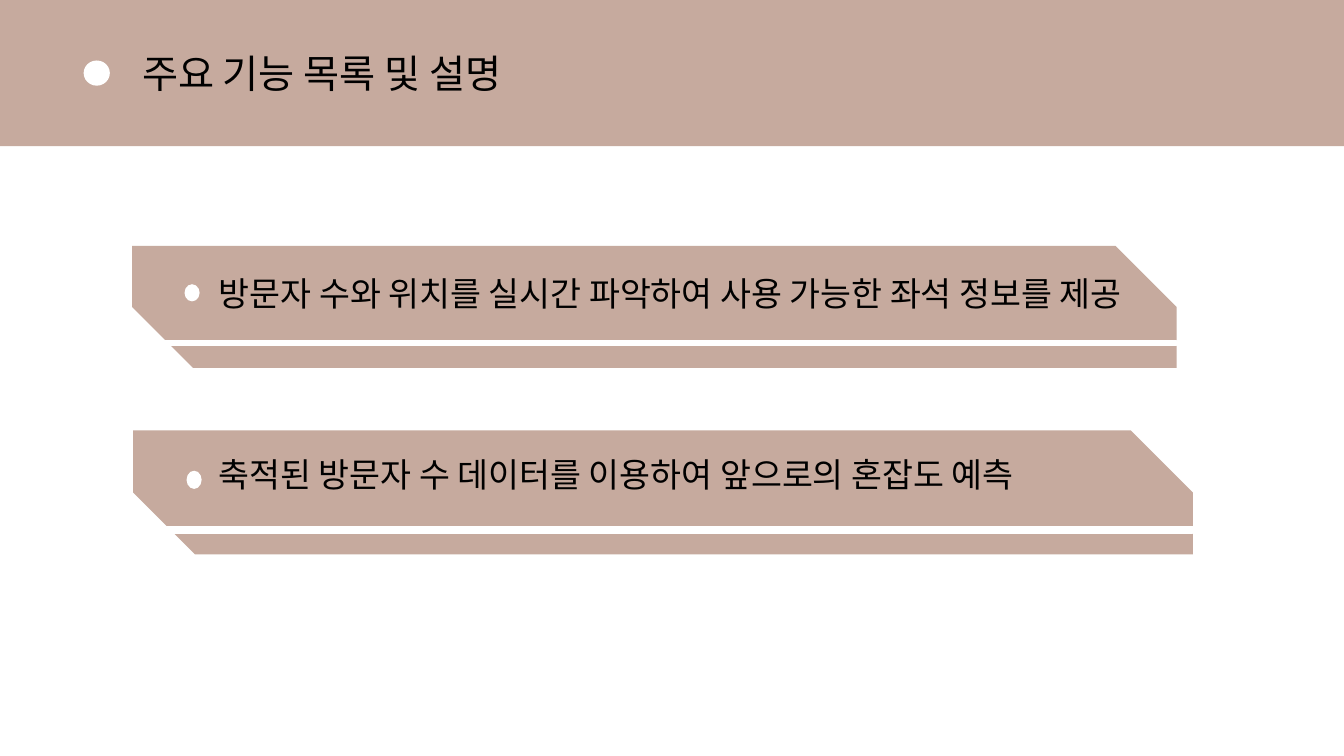
"""Build the slide listing the main features and their descriptions."""
from lxml.etree import SubElement
from pptx import Presentation
from pptx.dml.color import RGBColor
from pptx.enum.shapes import MSO_SHAPE
from pptx.enum.text import MSO_ANCHOR, MSO_AUTO_SIZE, PP_ALIGN
from pptx.oxml.ns import qn
from pptx.util import Inches, Pt

ROSE = RGBColor(0xC6, 0xAA, 0x9E)
WHITE = RGBColor(0xFF, 0xFF, 0xFF)
BLACK = RGBColor(0, 0, 0)
FONT = "Noto Sans CJK KR"


def add_block(shapes, kind, box, color, outlined=False):
    sp = shapes.add_shape(kind, *map(Inches, box))
    sp.shadow.inherit = False
    sp.fill.solid()
    sp.fill.fore_color.rgb = color
    if outlined:
        sp.line.color.rgb = color
        sp.line.width = Pt(1)
    else:
        sp.line.fill.background()
    return sp


def set_text(sp, box, text, size, anchor):
    sp.left, sp.top, sp.width, sp.height = map(Inches, box)
    tf = sp.text_frame
    tf.text = text
    tf.word_wrap = True
    tf.auto_size = MSO_AUTO_SIZE.NONE
    tf.vertical_anchor = anchor
    p = tf.paragraphs[0]
    p.alignment = PP_ALIGN.LEFT
    p.space_before = Pt(0)
    r = p.runs[0]
    r.font.size = Pt(size)
    r.font.color.rgb = BLACK
    r.font.name = FONT
    SubElement(r.font._element if hasattr(r.font, "_element") else r._r.get_or_add_rPr(),
               qn("a:ea"), typeface=FONT)
    return p


prs = Presentation()
prs.slide_width, prs.slide_height = Inches(13.33), Inches(7.5)
s = prs.slides.add_slide(prs.slide_layouts[0])
title, subtitle = s.placeholders

bands = [
    ((1.32, 4.27, 10.51, 1.23), (1.58, 5.24, 10.25, 0.05), (1.85, 4.67, 0.15, 0.18)),
    ((1.31, 2.44, 10.36, 1.21), (1.57, 3.38, 10.1, 0.05), (1.83, 2.82, 0.15, 0.17)),
]
for band, stripe, dot in bands:
    grp = s.shapes.add_group_shape()
    sp = add_block(grp.shapes, MSO_SHAPE.SNIP_2_DIAG_RECTANGLE, band, ROSE)
    sp.adjustments[0], sp.adjustments[1] = 0, 0.5
    add_block(grp.shapes, MSO_SHAPE.RECTANGLE, stripe, WHITE, outlined=True)
    add_block(grp.shapes, MSO_SHAPE.OVAL, dot, WHITE)

header = s.shapes.add_group_shape()
add_block(header.shapes, MSO_SHAPE.RECTANGLE, (0, 0, 13.33, 1.45), ROSE)
add_block(header.shapes, MSO_SHAPE.OVAL, (0.83, 0.6, 0.26, 0.25), WHITE)

tree = title.element.getparent()
for sp in (subtitle, title):
    tree.append(sp.element)

p = set_text(subtitle, (2.07, 2.73, 9.5, 0.45),
             "방문자 수와 위치를 실시간 파악하여 사용 가능한 좌석 정보를 제공", 24, MSO_ANCHOR.TOP)
p.line_spacing = 0.8
set_text(title, (1.31, 0.44, 8.1, 0.57), "주요 기능 목록 및 설명", 28, MSO_ANCHOR.MIDDLE)
forecast = s.shapes.add_textbox(0, 0, 0, 0)
set_text(forecast, (2.07, 4.45, 9.35, 0.5),
         "축적된 방문자 수 데이터를 이용하여 앞으로의 혼잡도 예측", 24, MSO_ANCHOR.TOP)
add_block(s.shapes, MSO_SHAPE.RECTANGLE, (1.6, 5.23, 10.42, 0.05), WHITE, outlined=True)

prs.save("out.pptx")
